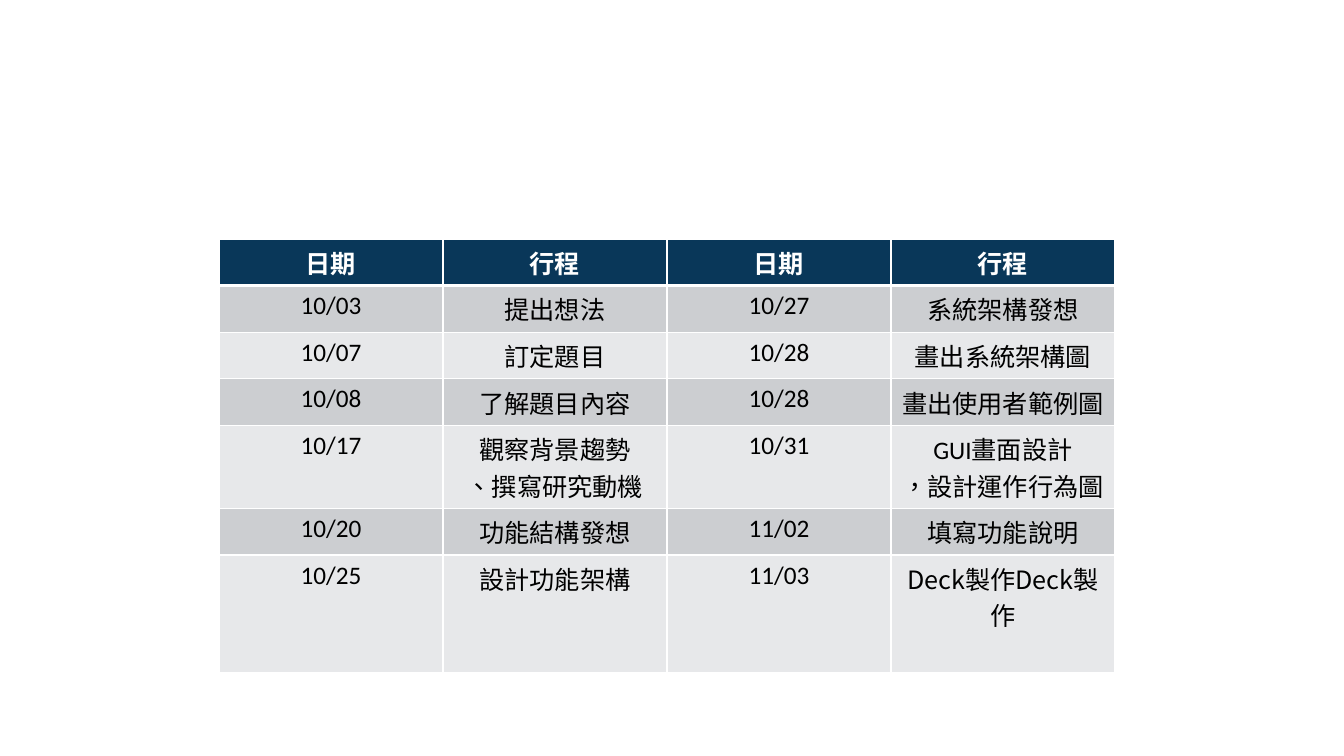
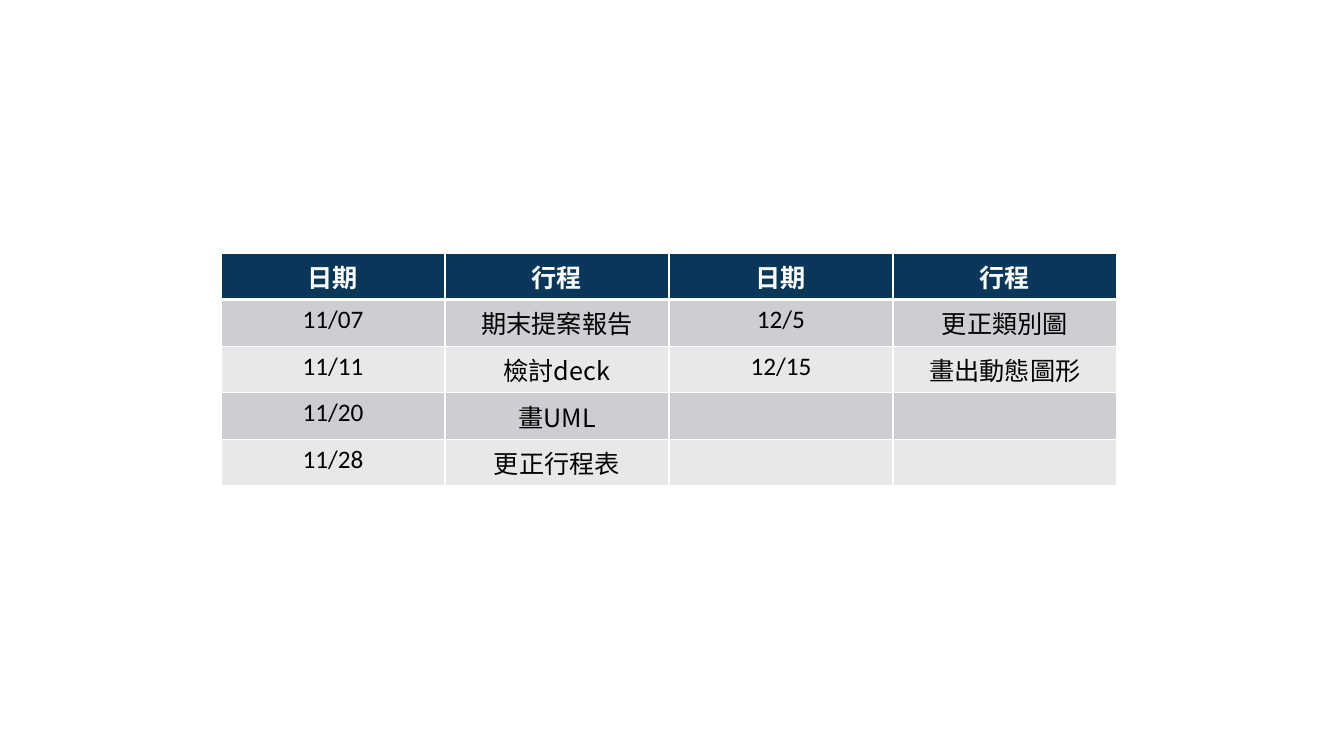
from pptx import Presentation
from pptx.dml.color import RGBColor
from pptx.enum.text import PP_ALIGN
from pptx.oxml import parse_xml
from pptx.oxml.ns import nsdecls
from pptx.util import Pt
from lxml.etree import SubElement

# Shared style
SCALE = 914400 / 100.8  # EMU per pixel
NAVY, GREY, PALE = "093759", "CCCED1", "E7E8EA"
WHITE, BLACK = "FFFFFF", "000000"
LATIN_FONT, CHINESE_FONT = "Calibri", "Noto Sans CJK SC"
COLUMN_WIDTH, ROW_HEIGHT = 224, 41
HEADER = ("日期", "行程", "日期", "行程")


def px(pixels):
    return round(pixels * SCALE)


def color(value):
    return RGBColor.from_string(value)


# Each schedule: left, top, height of the last row, rows
schedules = [
    (219, 239, 118, [
        ("10/03", "提出想法", "10/27", "系統架構發想"),
        ("10/07", "訂定題目", "10/28", "畫出系統架構圖"),
        ("10/08", "了解題目內容", "10/28", "畫出使用者範例圖"),
        ("10/17", "觀察背景趨勢\n、撰寫研究動機", "10/31", "GUI畫面設計\n，設計運作行為圖"),
        ("10/20", "功能結構發想", "11/02", "填寫功能說明"),
        ("10/25", "設計功能架構", "11/03", "Deck製作Deck製作"),
    ]),
    (221, 253, ROW_HEIGHT, [
        ("11/07", "期末提案報告", "12/5", "更正類別圖"),
        ("11/11", "檢討deck", "12/15", "畫出動態圖形"),
        ("11/20", "畫UML", "", ""),
        ("11/28", "更正行程表", "", ""),
    ]),
]

deck = Presentation()
deck.slide_width, deck.slide_height = px(1344), px(756)

for left, top, last_height, entries in schedules:
    page = deck.slides.add_slide(deck.slide_layouts[6])
    rows = [HEADER, *entries]
    table = page.shapes.add_table(
        len(rows), len(HEADER), px(left), px(top),
        px(COLUMN_WIDTH * len(HEADER)), px(ROW_HEIGHT * len(rows))).table
    for column in table.columns:
        column.width = px(COLUMN_WIDTH)
    for row in table.rows:
        row.height = px(ROW_HEIGHT)
    table.rows[len(rows) - 1].height = px(last_height)

    for row_index, texts in enumerate(rows):
        is_header = row_index == 0
        fill = NAVY if is_header else GREY if row_index % 2 else PALE
        for column_index, text in enumerate(texts):
            cell = table.cell(row_index, column_index)

            # White rules, thicker below the header
            widths = {"L": 1, "R": 1, "T": 3 if row_index == 1 else 1,
                      "B": 3 if is_header else 1}
            for side, width in widths.items():
                cell._tc.get_or_add_tcPr().append(parse_xml(
                    f'<a:ln{side} {nsdecls("a")} w="{Pt(width)}"><a:solidFill>'
                    f'<a:srgbClr val="{WHITE}"/></a:solidFill></a:ln{side}>'))
            cell.fill.solid()
            cell.fill.fore_color.rgb = color(fill)

            # Centred text; dates use the Latin font
            cell.text_frame.text = text
            is_latin = column_index % 2 == 0 or text.startswith("GUI")
            for para in cell.text_frame.paragraphs:
                para.alignment = PP_ALIGN.CENTER
                for span in para.runs:
                    span.font.size = Pt(18)
                    span.font.bold = is_header
                    span.font.color.rgb = color(WHITE if is_header else BLACK)
                    span.font.name = LATIN_FONT if is_latin else CHINESE_FONT
                    properties = span._r.get_or_add_rPr()
                    properties.set("lang", "zh-TW")
                    SubElement(properties, properties[-1].tag.replace("latin", "ea"),
                               typeface=CHINESE_FONT)

deck.save("out.pptx")
